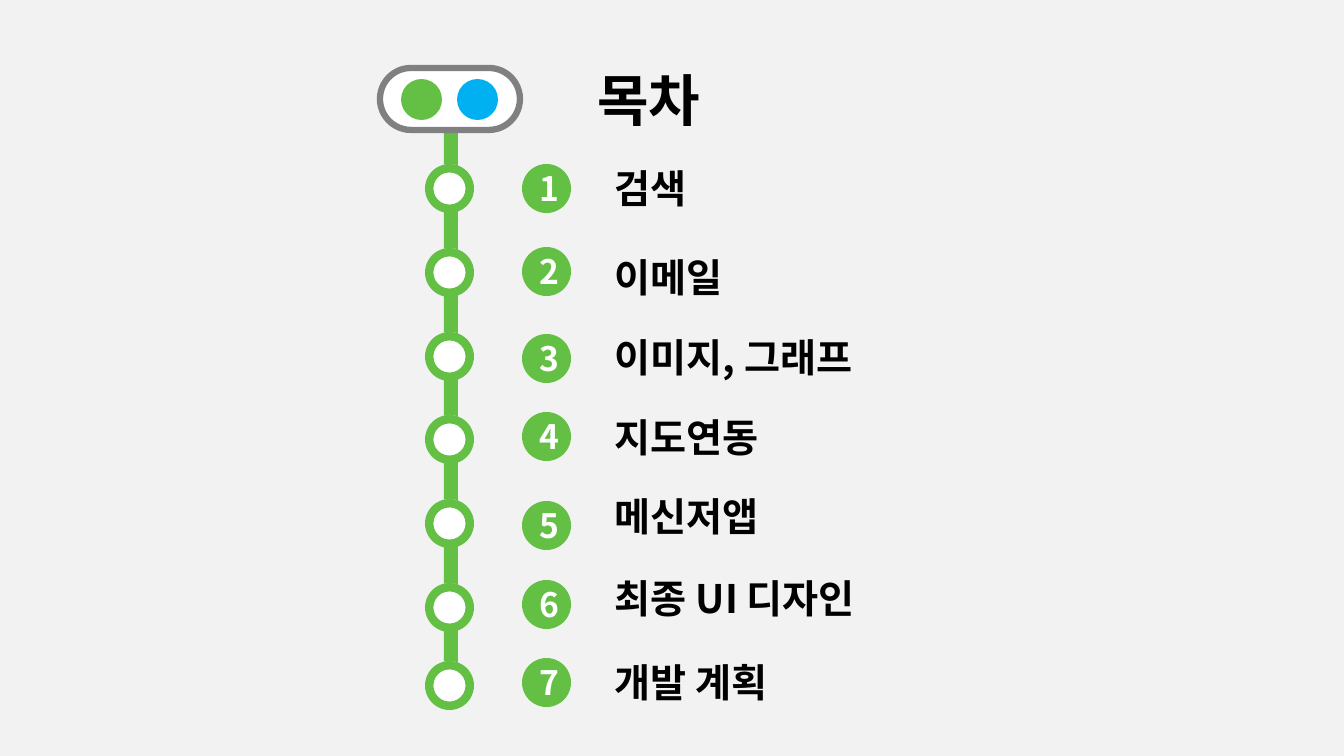
"""Build a contents slide drawn as a subway line with seven stops."""
from lxml import etree
from pptx import Presentation
from pptx import util as u
from pptx.dml.color import RGBColor
from pptx.enum import shapes, text
from pptx.oxml.ns import qn

PX = 914400 / 100.8
FONT = "Noto Sans CJK KR"
GREEN, WHITE, BLACK = "64C044", "FFFFFF", "000000"
KIND = shapes.MSO_SHAPE

prs = Presentation()
prs.slide_width, prs.slide_height = round(1344 * PX), round(756 * PX)
s = prs.slides.add_slide(prs.slide_layouts[5])
s.background.fill.solid()
s.background.fill.fore_color.rgb = RGBColor.from_string("F2F2F2")


def add_shape(kind, x, y, w, h, color):
    sp = s.shapes.add_shape(kind, *(round(n * PX) for n in (x, y, w, h)))
    sp.shadow.inherit = False
    sp.fill.solid()
    sp.fill.fore_color.rgb = RGBColor.from_string(color)
    sp.line.fill.background()
    return sp


def write(sp, words, size, color, align=text.PP_ALIGN.LEFT):
    p = sp.text_frame.paragraphs[0]
    p.text = words
    p.alignment = align
    p.font.size = u.Pt(size)
    p.font.bold = True
    p.font.color.rgb = RGBColor.from_string(color)
    p.font.name = FONT
    etree.SubElement(p._p.find(".//" + qn("a:defRPr")), qn("a:ea"), typeface=FONT)


title = s.shapes.title
title.left, title.top, title.width, title.height = (
    round(n * PX) for n in (587, 60, 135, 77))
title.text_frame.word_wrap = True
title.text_frame.vertical_anchor = text.MSO_ANCHOR.TOP
title.text_frame.auto_size = text.MSO_AUTO_SIZE.SHAPE_TO_FIT_TEXT
write(title, "목차", 40, BLACK)

for y in (661, 583, 499, 415, 332, 248, 164):
    add_shape(KIND.RECTANGLE, 444, y - 57, 14, 79, GREEN)
    add_shape(KIND.OVAL, 428, y, 43, 43, WHITE)
    ring = add_shape(KIND.DONUT, 425, y, 49, 49, GREEN)
    ring.adjustments[0] = 0.172

sign = add_shape(KIND.ROUNDED_RECTANGLE, 380, 68, 140, 62, WHITE)
sign.adjustments[0] = 0.5
sign.line.color.rgb = RGBColor.from_string("808080")
sign.line.width = u.Pt(4.5)
for x, color in ((401, GREEN), (457, "00B0F0")):
    add_shape(KIND.OVAL, x, 79, 41, 41, color)

topics = [
    ("검색", 164, 159, 140),
    ("이메일", 247, 248, 185),
    ("이미지, 그래프", 334, 328, 391),
    ("지도연동", 412, 408, 234),
    ("메신저앱", 501, 487, 241),
    ("최종 UI 디자인", 580, 569, 391),
    ("개발 계획", 658, 653, 391),
]
for number, (topic, badge_y, label_y, width) in enumerate(topics, 1):
    badge = add_shape(KIND.OVAL, 522, badge_y, 49, 49, GREEN)
    tf = badge.text_frame
    tf.margin_left = round(5 * PX)
    tf.margin_right = tf.margin_top = tf.margin_bottom = 0
    tf.vertical_anchor = text.MSO_ANCHOR.MIDDLE
    write(badge, str(number), 24, WHITE, text.PP_ALIGN.CENTER)
    label = s.shapes.add_textbox(*(round(n * PX) for n in (605, label_y, width, 57)))
    label.text_frame.word_wrap = True
    label.text_frame.auto_size = text.MSO_AUTO_SIZE.SHAPE_TO_FIT_TEXT
    write(label, topic, 28, BLACK)

prs.save("out.pptx")
